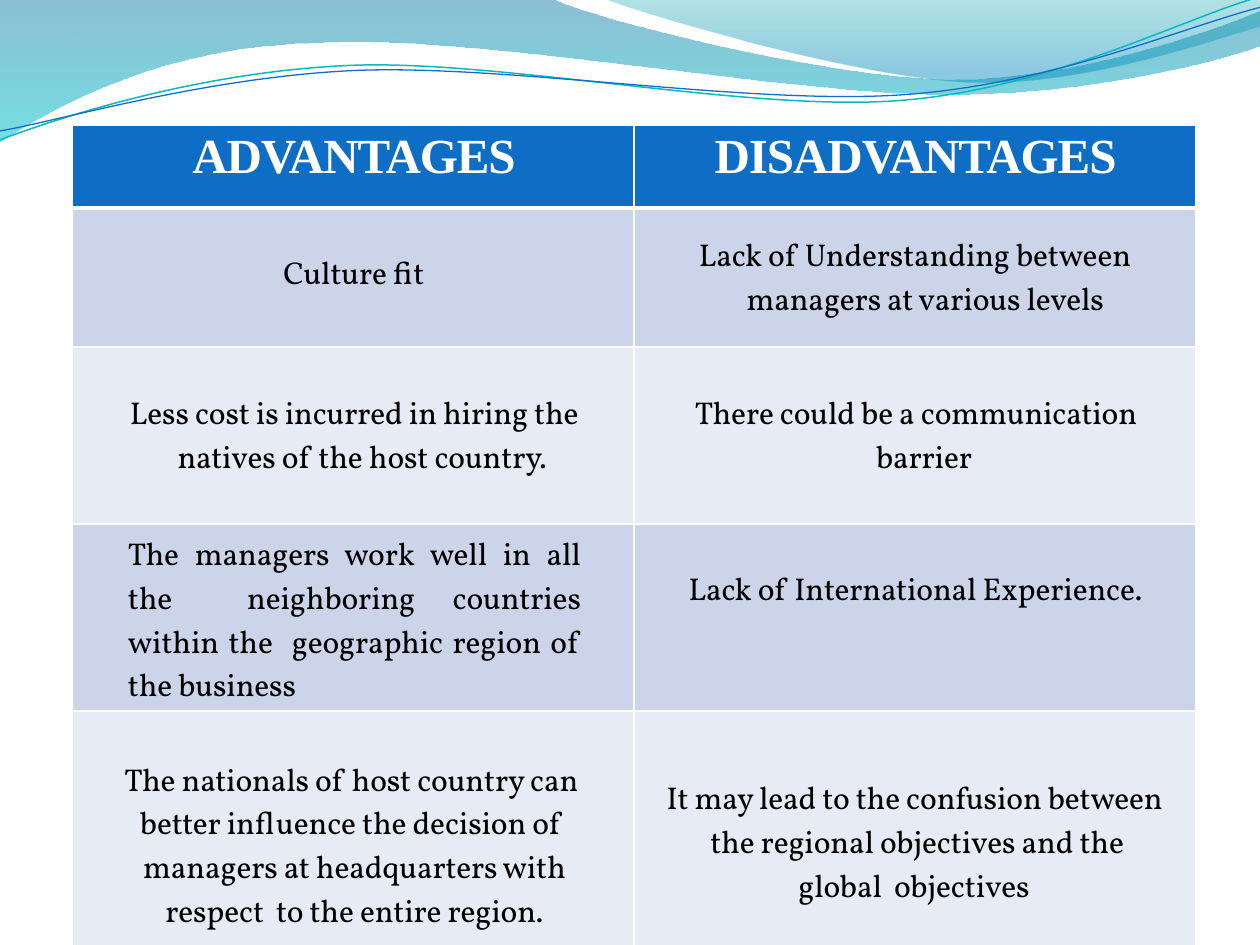
from lxml.etree import SubElement
from pptx import Presentation
from pptx.dml.color import RGBColor
from pptx.enum.text import PP_ALIGN
from pptx.oxml import parse_xml
from pptx.oxml.ns import nsdecls, qn
from pptx.util import Cm, Pt

LEFT, MID, FULL = PP_ALIGN.LEFT, PP_ALIGN.CENTER, PP_ALIGN.JUSTIFY

BANDS = [
    ([(0, 0), (11.18, 0), (12.09, 0.43, 16.87, 1.6, 19.25, 1.6),
      (21.67, 1.6, 24.33, 0.66, 25.4, 0.23), (25.43, 0.91),
      (24.97, 1.12, 22.1, 1.93, 18.95, 1.9), (15.8, 1.9, 9.7, 0.71, 6.53, 0.86),
      (3.28, 0.91, 1.17, 2.11, -0.03, 2.87), (0, 0)],
     [(0, "0074A1", 45), (100, "00C6CF", 55)]),
    ([(12.17, -0.03), (12.93, 0.28, 17.32, 1.57, 19.53, 1.65),
      (21.74, 1.75, 24.41, 0.81, 25.4, 0.53), (25.4, 0), (12.17, -0.03)],
     [(0, "00A1A9", 30), (80, "008BBF", 45)]),
]
LINES = [
    ([(0, 2.82), (1.22, 2.36, 4.01, 1.45, 7.04, 1.32),
      (10.03, 1.19, 15.06, 2.26, 18.11, 2.03),
      (21.16, 1.8, 23.83, 0.38, 25.35, -0.05)], "0AB8BF", 0.85),
    ([(0, 2.64), (1.19, 2.44, 4.17, 1.55, 7.19, 1.42),
      (10.24, 1.3, 15.16, 2.13, 18.21, 1.91),
      (21.23, 1.7, 23.9, 0.53, 25.4, 0.15)], "0F6FC6", 0.75),
]
HEADS = ["ADVANTAGES", "DISADVANTAGES"]
ROWS = [
    [("Culture fit", MID, 0.95, 0.03, 0, 0),
     ("Lack of Understanding between  managers at various levels",
      LEFT, 0.58, 2.27, -0.96, 0)],
    [("Less cost is incurred in hiring the  natives of the host country.",
      LEFT, 0.95, 2.12, -0.96, 0),
     ("There could be a communication  barrier", LEFT, 0.95, 4.88, -3.65, 0)],
    [("The managers work well in all the  neighboring countries within "
      "the  geographic region of the business", FULL, 0.23, 1.12, 0, 1.07),
     ("Lack of International Experience.", MID, 0.95, 0.03, 0, 0)],
    [("The nationals of host country can  better influence the decision of  "
      "managers at headquarters with respect  to the entire region.",
      MID, 1.01, 0.45, 0, 0.4),
     ("It may lead to the confusion between  the regional objectives and "
      "the global  objectives", MID, 1.39, 0.61, 0.03, 0.64)],
]


def color(code):
    """Turn a hex string into a colour."""
    return RGBColor.from_string(code)


def draw(slide, parts, left, top, close):
    """Add an outline of lines and cubic curves, offset by its corner."""
    spots = [(Cm(left + part[k]), Cm(top + part[k + 1]))
             for part in parts for k in range(0, len(part), 2)]
    pen = slide.shapes.build_freeform(*spots[0])
    pen.add_line_segments(spots[1:], close=close)
    shape = pen.convert_to_shape()
    shape.shadow.inherit = False
    steps = iter(list(shape._element.iter(qn("a:lnTo"))))
    for part in parts[1:]:
        step = next(steps)
        if len(part) == 6:
            step.tag = qn("a:cubicBezTo")
            for _ in range(2):
                extra = next(steps)
                step.append(extra[0])
                extra.getparent().remove(extra)
    return shape


def shade(shape, stops):
    """Fill a shape with a see-through vertical gradient."""
    marks = "".join(
        f'<a:gs pos="{at * 1000}"><a:srgbClr val="{code}">'
        f'<a:alpha val="{alpha * 1000}"/></a:srgbClr></a:gs>'
        for at, code, alpha in stops)
    shape.fill.background()
    blank = shape._element.spPr.find(qn("a:noFill"))
    blank.getparent().replace(blank, parse_xml(
        f'<a:gradFill {nsdecls("a")} rotWithShape="1"><a:gsLst>{marks}</a:gsLst>'
        '<a:lin ang="5400000" scaled="0"/></a:gradFill>'))


def add_waves(slide, left, top):
    """Draw the wave bands and thin lines of the header."""
    for parts, stops in BANDS:
        band = draw(slide, parts, left, top, True)
        shade(band, stops)
        band.line.fill.background()
    for parts, code, width in LINES:
        wave = draw(slide, parts, left, top, False)
        wave.fill.background()
        wave.line.color.rgb = color(code)
        wave.line.width = Pt(width)


def add_edges(cell, upper, lower):
    """Give a cell white borders."""
    props = cell._tc.get_or_add_tcPr()
    for side, width in zip("LRTB", (1, 1, upper, lower)):
        edge = SubElement(props, qn(f"a:ln{side}"), w=str(Pt(width)))
        fill = SubElement(edge, qn("a:solidFill"))
        SubElement(fill, qn("a:srgbClr"), val="FFFFFF")


def fill_cell(cell, entry, back, face, size, code, bold, track):
    """Write a cell from its text, alignment, top inset and indents."""
    text, align, inset, left, first, right = entry
    cell.margin_left = cell.margin_right = cell.margin_bottom = 0
    cell.margin_top = Cm(inset)
    cell.fill.solid()
    cell.fill.fore_color.rgb = color(back)
    para = cell.text_frame.paragraphs[0]
    run = para.add_run()
    run.text = text
    run._r.get_or_add_rPr().set("spc", str(track))
    props = para._p.get_or_add_pPr()
    for name, value in (("marL", left), ("marR", right), ("indent", first)):
        props.set(name, str(Cm(value)))
    para.alignment = align
    font = para.font
    font.name, font.size, font.bold = face, Pt(size), bold
    font.color.rgb = color(code)


def add_grid(slide, left, top, width, height):
    """Build the table of advantages and disadvantages."""
    grid = slide.shapes.add_table(len(ROWS) + 1, 2, Cm(left), Cm(top),
                                  Cm(width), Cm(height)).table
    for row, tall in zip(grid.rows, (1.66, 2.81, 3.56, 2.82, 5.2)):
        row.height = Cm(tall)
    for col, head in enumerate(HEADS):
        cell = grid.cell(0, col)
        add_edges(cell, 1, 3)
        fill_cell(cell, (head, MID, 0.08, 0.03, 0, 0), "0E6EC5",
                  "Times New Roman", 28, "FFFFFF", True, -60)
    for num, row in enumerate(ROWS, 1):
        for col, entry in enumerate(row):
            cell = grid.cell(num, col)
            add_edges(cell, 3 if num == 1 else 1, 1)
            fill_cell(cell, entry, "CCD4EA" if num % 2 else "E7EBF5",
                      "Vollkorn", 18, "000000", False, -8)


def main():
    """Build and save the slide."""
    deck = Presentation()
    deck.slide_width, deck.slide_height = Cm(25.4), Cm(19.05)
    slide = deck.slides.add_slide(deck.slide_layouts[6])
    add_waves(slide, 0, 0)
    add_grid(slide, 1.46, 2.53, 22.64, 16.05)
    deck.save("out.pptx")


if __name__ == "__main__":
    main()
